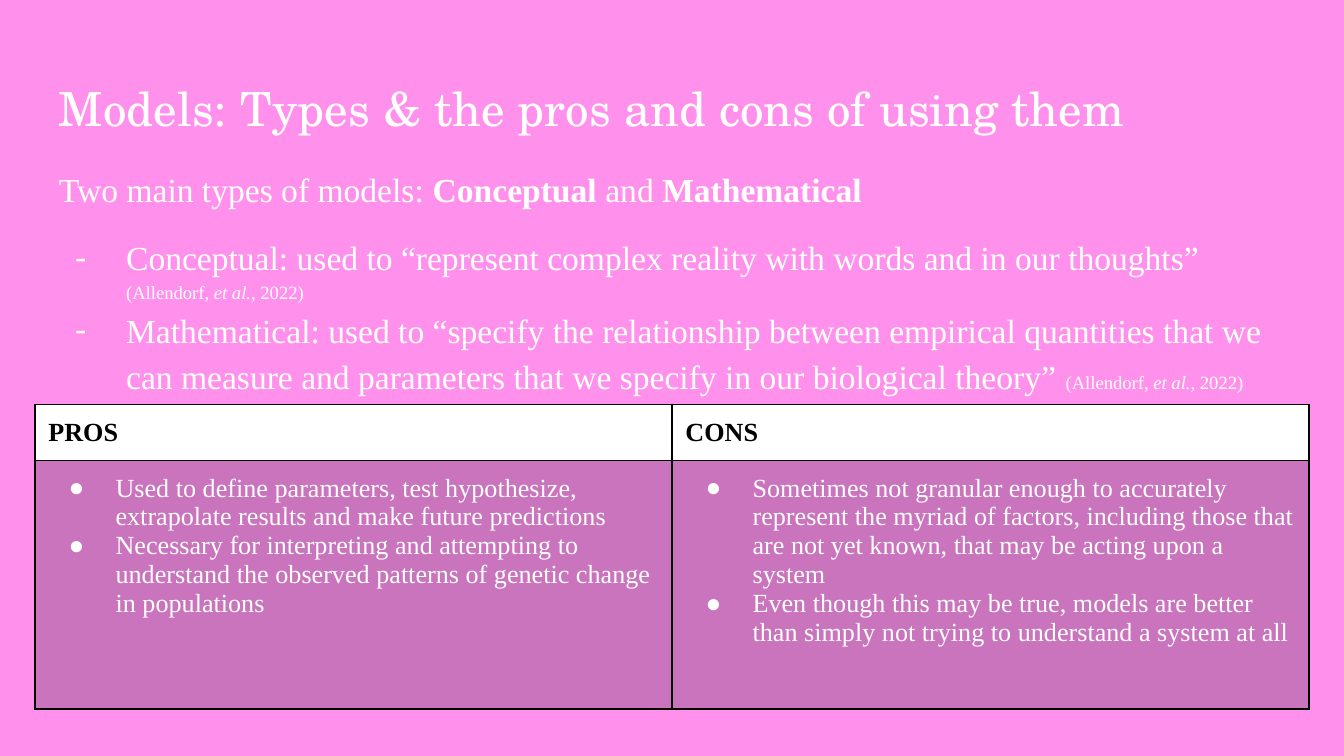
import pptx
import pptx.dml.color
import pptx.enum.text
import pptx.oxml
import pptx.oxml.ns
import pptx.util
from pptx.util import Inches

COLORS = {
    "background": "FF91ED",
    "white": "FFFFFF",
    "black": "000000",
    "body_cell": "C974BC",
}
NAMESPACE = pptx.oxml.ns.nsdecls("a")


def write(paragraph, text, size=18, font="Times New Roman", color="white",
          bold=False, italic=False):
    run = paragraph.add_run()
    run.text = text
    run.font.name = font
    run.font.size = pptx.util.Pt(size)
    run.font.bold = bold
    run.font.italic = italic
    run.font.color.rgb = pptx.dml.color.RGBColor.from_string(COLORS[color])


def add_bullet(paragraph, character, hanging):
    properties = paragraph._p.get_or_add_pPr()
    properties.set("marL", str(Inches(0.5)))
    properties.set("indent", str(-Inches(hanging)))
    for xml in (
        f'<a:buClr {NAMESPACE}><a:srgbClr val="{COLORS["white"]}"/></a:buClr>',
        f'<a:buFont {NAMESPACE} typeface="Times New Roman"/>',
        f'<a:buChar {NAMESPACE} char="{character}"/>',
    ):
        properties.append(pptx.oxml.parse_xml(xml))


# Widescreen slide, 16 by 9
presentation = pptx.Presentation()
presentation.slide_width = Inches(10)
presentation.slide_height = Inches(10) * 9 // 16
slide = presentation.slides.add_slide(presentation.slide_layouts[6])
background = slide.background.fill
background.solid()
background.fore_color.rgb = pptx.dml.color.RGBColor.from_string(COLORS["background"])

# Text boxes for the title and the definitions
frames = []
for top, height in ((0.49, 0.63), (1.11, 3.88)):
    box = slide.shapes.add_textbox(Inches(0.34), Inches(top), Inches(9.32), Inches(height))
    frame = box.text_frame
    frame.word_wrap = True
    frame.auto_size = pptx.enum.text.MSO_AUTO_SIZE.NONE
    frame.margin_left = frame.margin_right = Inches(0.1)
    frame.margin_top = frame.margin_bottom = Inches(0.1)
    frames.append(frame)
title, body = frames

write(title.paragraphs[0], "Models: Types & the pros and cons of using them",
      size=25.2, font="TeX Gyre Schola")

# Introduction
introduction = body.paragraphs[0]
introduction.line_spacing = 1.15
write(introduction, "Two main types of models: ")
write(introduction, "Conceptual", bold=True)
write(introduction, " and ")
write(introduction, "Mathematical", bold=True)

# Definitions, each with its citation
definitions = [
    ("Conceptual: used to “represent complex reality with words and in our thoughts” ", 12),
    ("Mathematical: used to “specify the relationship between empirical quantities that we "
     "can measure and parameters that we specify in our biological theory” ", 0),
]
for definition, space_before in definitions:
    paragraph = body.add_paragraph()
    paragraph.line_spacing = 1.15
    paragraph.space_before = pptx.util.Pt(space_before)
    add_bullet(paragraph, "-", 0.38)
    write(paragraph, definition)
    write(paragraph, "(Allendorf, ", size=10)
    write(paragraph, "et al.", size=10, italic=True)
    write(paragraph, ", 2022)", size=10)

# Table of pros and cons
columns = {
    "PROS": [
        "Used to define parameters, test hypothesize, extrapolate results and make "
        "future predictions",
        "Necessary for interpreting and attempting to understand the observed patterns "
        "of genetic change in populations",
    ],
    "CONS": [
        "Sometimes not granular enough to accurately represent the myriad of factors, "
        "including those that are not yet known, that may be acting upon a system",
        "Even though this may be true, models are better than simply not trying to "
        "understand a system at all",
    ],
}
table = slide.shapes.add_table(2, 2, Inches(0.26), Inches(3.01),
                               Inches(9.48), Inches(2.22)).table
table.rows[0].height = Inches(0.37)
table.rows[1].height = Inches(1.85)

for index, (heading, points) in enumerate(columns.items()):
    table.columns[index].width = Inches(4.74)
    write(table.cell(0, index).text_frame.paragraphs[0], heading,
          size=14, color="black", bold=True)
    points_frame = table.cell(1, index).text_frame
    for number, point in enumerate(points):
        paragraph = points_frame.add_paragraph() if number else points_frame.paragraphs[0]
        add_bullet(paragraph, "●", 0.35)
        write(paragraph, point, size=14)

# Cell fills, margins and borders
for row, fill in zip(table.rows, ("white", "body_cell")):
    for cell in row.cells:
        cell.margin_left = cell.margin_right = Inches(0.1)
        cell.margin_top = cell.margin_bottom = Inches(0.1)
        cell.fill.solid()
        cell.fill.fore_color.rgb = pptx.dml.color.RGBColor.from_string(COLORS[fill])
        properties = cell._tc.get_or_add_tcPr()
        for position, side in enumerate(("lnL", "lnR", "lnT", "lnB")):
            properties.insert(position, pptx.oxml.parse_xml(
                f'<a:{side} {NAMESPACE} w="{pptx.util.Pt(0.75)}"><a:solidFill>'
                f'<a:srgbClr val="{COLORS["black"]}"/></a:solidFill></a:{side}>'))

presentation.save("out.pptx")
